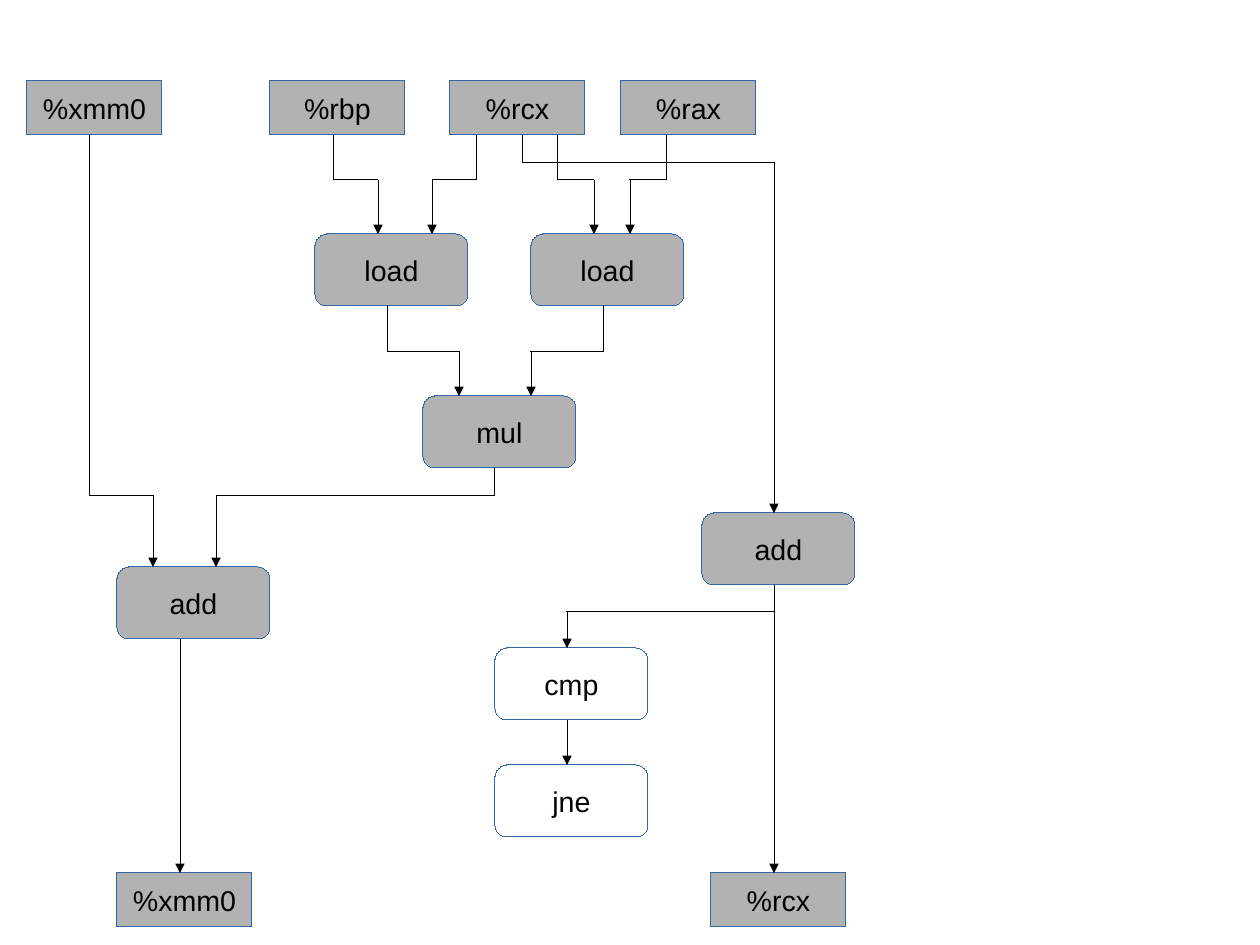
from itertools import pairwise

from lxml.etree import SubElement
from pptx import Presentation
from pptx.dml.color import RGBColor
from pptx.enum.shapes import MSO_CONNECTOR, MSO_SHAPE
from pptx.enum.text import MSO_ANCHOR, PP_ALIGN
from pptx.oxml.ns import qn
from pptx.util import Inches, Pt

COLORS = {"gray": "B2B2B2", "white": "FFFFFF", "border": "3465A4", "ink": "000000"}
FONT = {"name": "Arial", "size": Pt(18)}
FRAME = {
    "word_wrap": False,
    "vertical_anchor": MSO_ANCHOR.MIDDLE,
    "margin_left": Inches(0.1),
    "margin_right": Inches(0.1),
    "margin_top": Inches(0.05),
    "margin_bottom": Inches(0.05),
}

# The layout follows a centimetre grid
PAGE_SIZE = (28, 21)
REGISTER_SIZE = (3, 1.2)
OPERATION_SIZE = (3.4, 1.6)

# Name, left, top
REGISTERS = [
    ("%xmm0", 0.6, 1.8), ("%rbp", 6, 1.8), ("%rcx", 10, 1.8), ("%rax", 13.8, 1.8),
    ("%xmm0", 2.6, 19.4), ("%rcx", 15.8, 19.4),
]
# Name, left, top, fill
OPERATIONS = [
    ("load", 7, 5.2, "gray"), ("load", 11.8, 5.2, "gray"),
    ("mul", 9.4, 8.8, "gray"), ("add", 2.6, 12.6, "gray"),
    ("add", 15.6, 11.4, "gray"),
    ("cmp", 11, 14.4, "white"), ("jne", 11, 17, "white"),
]
# Start x, start y, height of the bend, end x, end y
BENT_FLOWS = [
    (7.4, 3, 4, 8.4, 5.2),
    (10.6, 3, 4, 9.6, 5.2),
    (12.4, 3, 4, 13.2, 5.2),
    (14.8, 3, 4, 14, 5.2),
    (11.6, 3, 3.6, 17.2, 11.4),
    (8.6, 6.8, 7.8, 10.2, 8.8),
    (13.4, 6.8, 7.8, 11.8, 8.8),
    (11, 10.4, 11, 4.8, 12.6),
    (2, 3, 11, 3.4, 12.6),
]
# Corner points of the remaining flows
OTHER_FLOWS = [
    [(4, 14.2), (4, 19.4)],
    [(17.2, 13), (17.2, 19.4)],
    [(17.2, 13.6), (12.6, 13.6), (12.6, 14.4)],
    [(12.6, 16), (12.6, 17)],
]


def grid(*values):
    return [Inches(value / 2.54) for value in values]


def color(name):
    return RGBColor.from_string(COLORS[name])


class FlowGraph:
    """Draws nodes and flows on one page in a common style."""

    def __init__(self, page):
        self.page = page

    def hairline(self, shape, name):
        shape.line.color.rgb = color(name)
        outline = shape._element.spPr.find(qn("a:ln"))
        outline.set("w", "0")
        return outline

    def node(self, kind, text, left, top, size, fill):
        shape = self.page.shapes.add_shape(kind, *grid(left, top, *size))
        shape.shadow.inherit = False
        shape.fill.solid()
        shape.fill.fore_color.rgb = color(fill)
        self.hairline(shape, "border")
        frame = shape.text_frame
        for key, value in FRAME.items():
            setattr(frame, key, value)
        para = frame.paragraphs[0]
        para.alignment = PP_ALIGN.CENTER
        span = para.add_run()
        span.text = text
        for key, value in FONT.items():
            setattr(span.font, key, value)
        span.font.color.rgb = color("ink")

    def register(self, text, left, top):
        self.node(MSO_SHAPE.RECTANGLE, text, left, top, REGISTER_SIZE, "gray")

    def operation(self, text, left, top, fill):
        self.node(MSO_SHAPE.ROUNDED_RECTANGLE, text, left, top, OPERATION_SIZE, fill)

    def segment(self, start, end, arrow):
        line = self.page.shapes.add_connector(
            MSO_CONNECTOR.STRAIGHT, *grid(*start, *end))
        outline = self.hairline(line, "ink")
        if arrow:
            SubElement(outline, qn("a:tailEnd"), type="triangle")
        SubElement(line._element.spPr, qn("a:effectLst"))

    def flow(self, points):
        for start, end in pairwise(points):
            self.segment(start, end, arrow=end == points[-1])


def main():
    deck = Presentation()
    deck.slide_width, deck.slide_height = grid(*PAGE_SIZE)
    graph = FlowGraph(deck.slides.add_slide(deck.slide_layouts[6]))

    # Registers and operations
    for register in REGISTERS:
        graph.register(*register)
    for operation in OPERATIONS:
        graph.operation(*operation)

    # Data flows
    for x1, y1, bend, x2, y2 in BENT_FLOWS:
        graph.flow([(x1, y1), (x1, bend), (x2, bend), (x2, y2)])
    for points in OTHER_FLOWS:
        graph.flow(points)

    deck.save("out.pptx")


if __name__ == "__main__":
    main()
